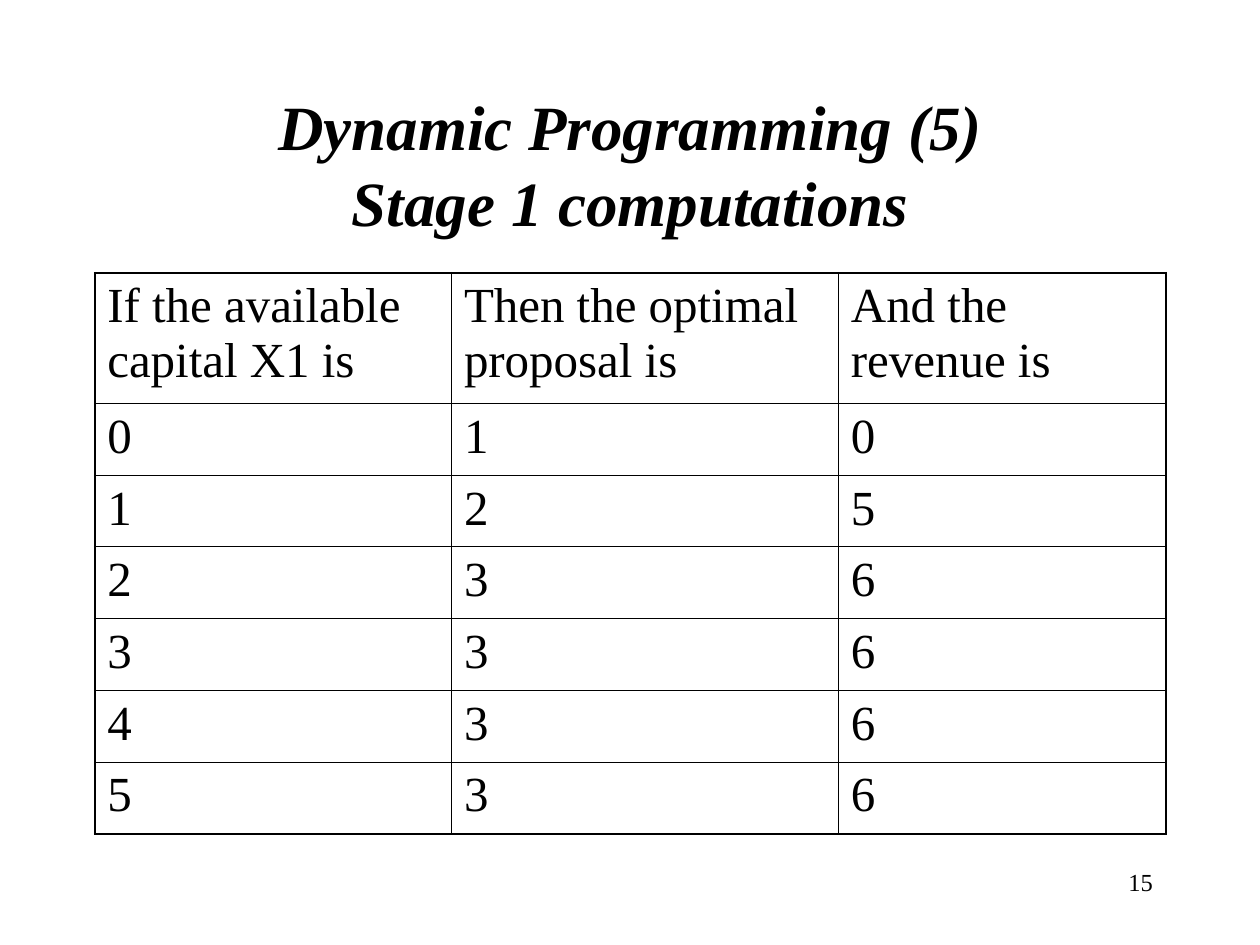
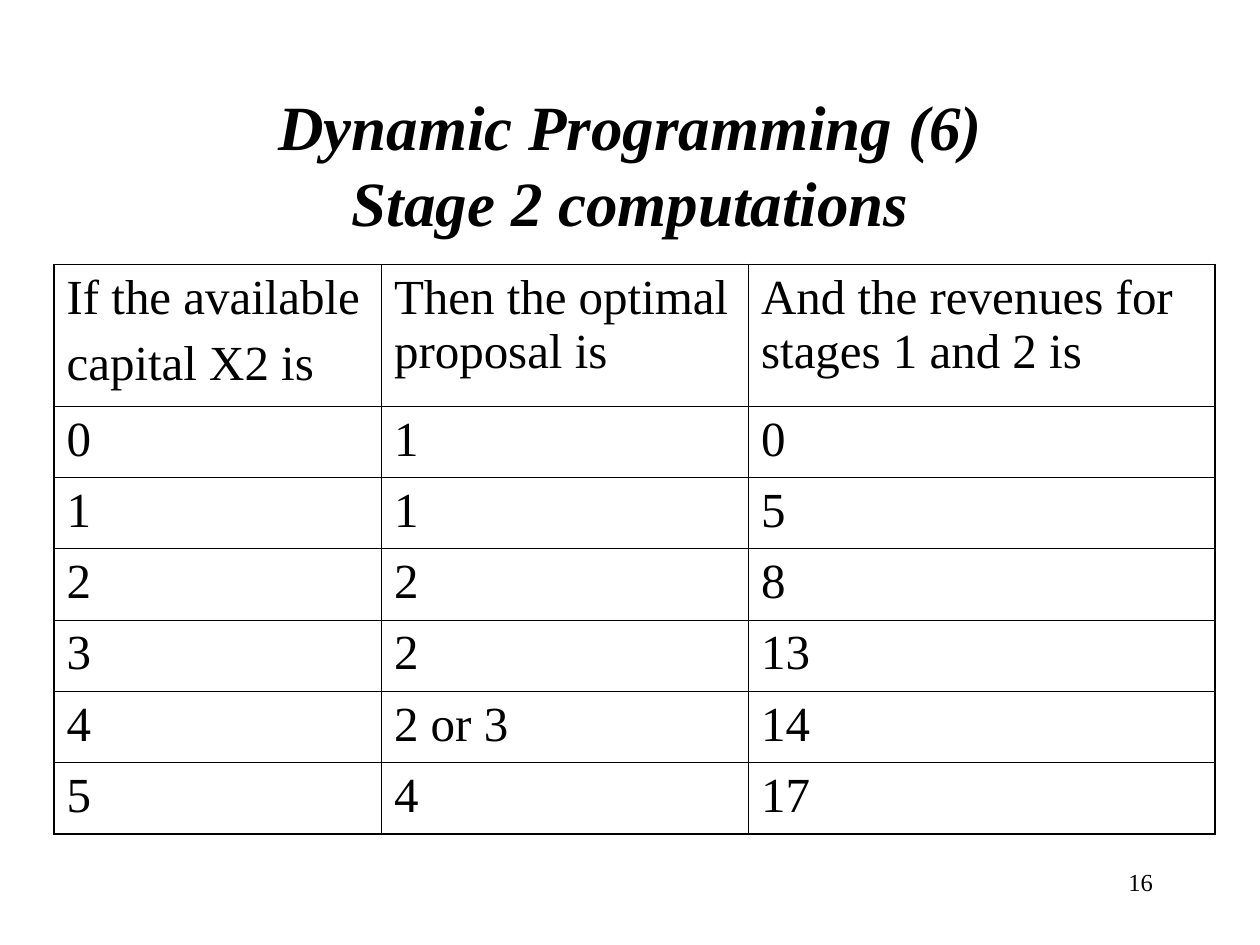
from lxml import etree
from pptx import Presentation
from pptx.dml.color import RGBColor
from pptx.enum.text import MSO_ANCHOR, MSO_AUTO_SIZE, PP_ALIGN
from pptx.oxml.ns import qn
from pptx.util import Cm, Pt

MIDDLE = MSO_ANCHOR.MIDDLE
NO_AUTOFIT = MSO_AUTO_SIZE.NONE
CENTER, LEFT, RIGHT = PP_ALIGN.CENTER, PP_ALIGN.LEFT, PP_ALIGN.RIGHT

# Content: lengths in centimetres
STAGES = [
    {
        "title": "Dynamic Programming (5)\vStage 1 computations",
        "number": 15,
        "left": 1.91, "top": 5.5, "header_height": 2.63,
        "column_widths": (7.19, 7.8, 6.6),
        "rows": [
            ("If the available capital X1 is", "Then the optimal proposal is", "And the revenue is"),
            (0, 1, 0),
            (1, 2, 5),
            (2, 3, 6),
            (3, 3, 6),
            (4, 3, 6),
            (5, 3, 6),
        ],
    },
    {
        "title": "Dynamic Programming (6)\vStage 2 computations",
        "number": 16,
        "left": 1.09, "top": 5.33, "header_height": 2.86,
        "column_widths": (6.6, 7.4, 9.4),
        "rows": [
            ("If the available\ncapital X2 is", "Then the optimal proposal is",
             "And the revenues for stages 1 and 2 is"),
            (0, 1, 0),
            (1, 1, 5),
            (2, 2, 8),
            (3, 2, 13),
            (4, "2 or 3", 14),
            (5, 4, 17),
        ],
    },
]

# Shared style
FONT = "Times New Roman"
INK = "000000"
PAPER = "FFFFFF"
TITLE_BOX = (1.91, 1.7, 21.59, 3.18)
NUMBER_BOX = (18.2, 17.35, 5.29, 1.27)
TABLE_BOTTOM = 16.81
OUTER_LINE, INNER_LINE = 1.08, 0.45
TITLE_BREAK_SIZE = 44


def color(hex_value):
    return RGBColor.from_string(hex_value)


def write(text_frame, text, size, align=LEFT, bold=False, italic=False, gap=0):
    """Fill a text frame; gap is the space between its paragraphs."""
    text_frame.text = str(text)
    text_frame.word_wrap = True
    for index, paragraph in enumerate(text_frame.paragraphs):
        paragraph.alignment = align
        paragraph.space_before = Pt(gap if index else 0)
        for run in paragraph.runs:
            font = run.font
            font.name, font.size = FONT, Pt(size)
            font.bold, font.italic = bold, italic
            font.color.rgb = color(INK)


def set_borders(cell, widths):
    """Draw the left, right, top and bottom lines of a cell."""
    properties = cell._tc.get_or_add_tcPr()
    for index, (side, width) in enumerate(zip("LRTB", widths)):
        line = etree.Element(qn(f"a:ln{side}"), w=str(Pt(width)))
        fill = etree.SubElement(line, qn("a:solidFill"))
        etree.SubElement(fill, qn("a:srgbClr"), val=INK)
        properties.insert(index, line)


def add_title(slide, text):
    title = slide.shapes.title
    title.left, title.top, title.width, title.height = map(Cm, TITLE_BOX)
    frame = title.text_frame
    write(frame, text, 36, align=CENTER, bold=True, italic=True)
    frame.vertical_anchor = MIDDLE
    frame.auto_size = NO_AUTOFIT
    # The taller line break widens the first line
    for line_break in frame._txBody.iter(qn("a:br")):
        etree.SubElement(line_break, qn("a:rPr"), sz=str(TITLE_BREAK_SIZE * 100))


def add_stage_table(slide, stage):
    rows, widths = stage["rows"], stage["column_widths"]
    top, header_height = stage["top"], stage["header_height"]
    last_row, last_column = len(rows) - 1, len(widths) - 1
    row_height = (TABLE_BOTTOM - top - header_height) / last_row
    table = slide.shapes.add_table(
        len(rows), len(widths), Cm(stage["left"]), Cm(top),
        Cm(sum(widths)), Cm(TABLE_BOTTOM - top)).table
    table.first_row = table.horz_banding = False
    for column, width in zip(table.columns, widths):
        column.width = Cm(width)
    for r, values in enumerate(rows):
        table.rows[r].height = Cm(row_height if r else header_height)
        for c, value in enumerate(values):
            cell = table.cell(r, c)
            write(cell.text_frame, value, 28, gap=7)
            cell.fill.background()
            on_edge = (c == 0, c == last_column, r == 0, r == last_row)
            set_borders(cell, [OUTER_LINE if edge else INNER_LINE for edge in on_edge])


def add_slide_number(slide, number):
    box = slide.shapes.add_textbox(*map(Cm, NUMBER_BOX))
    write(box.text_frame, number, 14, align=RIGHT)


def main():
    presentation = Presentation()
    presentation.slide_width, presentation.slide_height = Cm(25.4), Cm(19.05)
    title_only = presentation.slide_layouts[5]
    for stage in STAGES:
        slide = presentation.slides.add_slide(title_only)
        slide.background.fill.solid()
        slide.background.fill.fore_color.rgb = color(PAPER)
        add_title(slide, stage["title"])
        add_stage_table(slide, stage)
        add_slide_number(slide, stage["number"])
    presentation.save("out.pptx")


if __name__ == "__main__":
    main()
